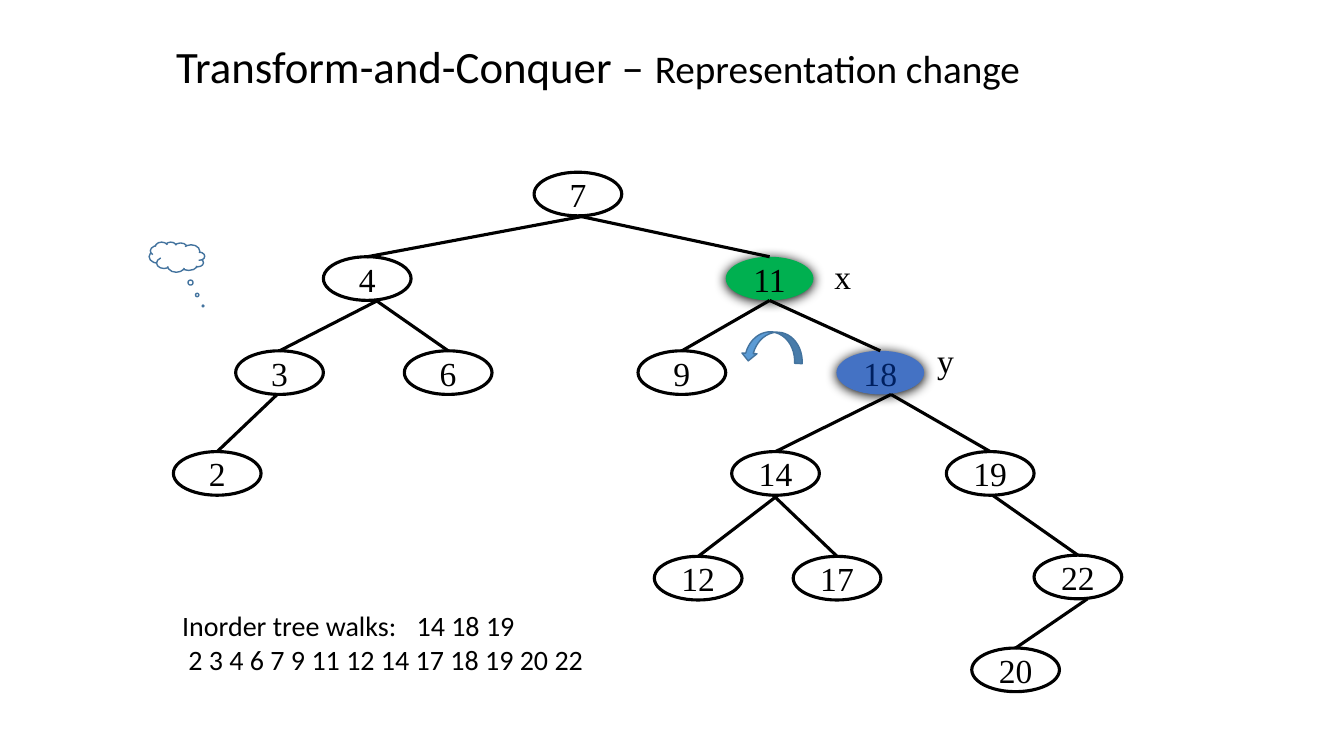
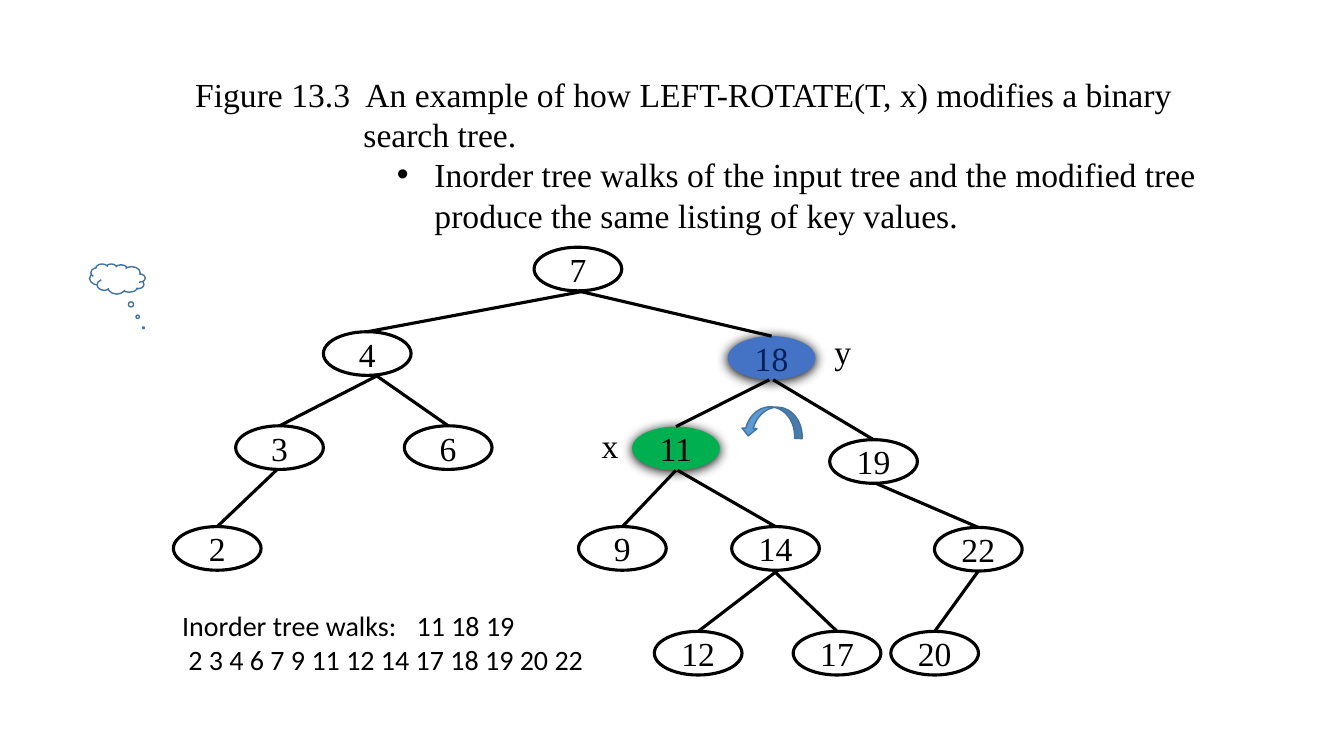
from dataclasses import dataclass

from lxml.etree import SubElement
from pptx import Presentation
from pptx.dml.color import RGBColor
from pptx.enum.shapes import MSO_CONNECTOR, MSO_SHAPE
from pptx.enum.text import MSO_ANCHOR, MSO_AUTO_SIZE, PP_ALIGN
from pptx.oxml.ns import qn
from pptx.util import Cm, Pt

BLACK = RGBColor(0x00, 0x00, 0x00)
WHITE = RGBColor(0xFF, 0xFF, 0xFF)
GREEN = RGBColor(0x00, 0xB0, 0x50)
BLUE = RGBColor(0x44, 0x72, 0xC4)
NAVY = RGBColor(0x00, 0x20, 0x60)
SKY = RGBColor(0x5B, 0x9B, 0xD5)
STEEL = RGBColor(0x43, 0x73, 0x9E)

SANS, SERIF = "Calibri", "Times New Roman"
NODE_WIDTH, NODE_HEIGHT = 2.21, 1.1
TREE_LEFT = 4.37
HIGHLIGHTS = {11: (GREEN, BLACK), 18: (BLUE, NAVY)}


@dataclass
class Node:
    """A tree node: offset of its corner, its parent, and where the edge leaves the parent."""
    left: float
    top: float
    parent: int = 0
    shift: float = 0


@dataclass
class Line:
    """A paragraph: its (text, size) spans and its indents in centimetres."""
    spans: list
    font: str = SERIF
    margin: float = 0
    indent: float = 0
    tab: float = 0
    bullet: str = ""


SHARED_NODES = {
    7: Node(9.09, 0),
    4: Node(3.78, 2.13, 7, 0.19),
    3: Node(1.57, 4.5, 4, 0.27),
    6: Node(5.82, 4.5, 4, 0.22),
    2: Node(0, 7.04, 3, -0.06),
    12: Node(12.12, 9.68, 14, 0.06),
    17: Node(15.62, 9.68, 14, -0.06),
}
TREE_BEFORE = SHARED_NODES | {
    11: Node(13.92, 2.13, 7),
    9: Node(11.71, 4.5, 11),
    18: Node(16.71, 4.5, 11),
    14: Node(14.07, 7.04, 18, 0.27),
    19: Node(19.48, 7.04, 18, 0.27),
    22: Node(21.69, 9.65, 19, 0.06),
    20: Node(20.12, 11.99, 22, 0.24),
}
TREE_AFTER = SHARED_NODES | {
    18: Node(13.97, 2.24, 7),
    11: Node(11.56, 4.52, 18, -0.06),
    19: Node(16.54, 4.85, 18, 0.04),
    9: Node(10.21, 7.04, 11),
    14: Node(14.07, 7.04, 11, 0.04),
    22: Node(19.18, 7.06, 19, 0.06),
    20: Node(18.08, 9.68, 22),
}


def add_span(para, text, size, font, color=BLACK):
    """Add one formatted run to a paragraph."""
    span = para.add_run()
    span.text = text
    span.font.size = Pt(size)
    span.font.name = font
    span.font.color.rgb = color


def format_line(para, line):
    """Apply indents, bullet and tab stop, then add the runs."""
    properties = para._p.get_or_add_pPr()
    if line.margin:
        properties.set("marL", str(Cm(line.margin)))
        properties.set("indent", str(Cm(line.indent)))
    if line.bullet:
        SubElement(properties, qn("a:buFont"), typeface="Arial")
        SubElement(properties, qn("a:buChar"), char=line.bullet)
    if line.tab:
        stops = SubElement(properties, qn("a:tabLst"))
        SubElement(stops, qn("a:tab"), pos=str(Cm(line.tab)), algn="l")
    for text, size in line.spans:
        add_span(para, text, size, line.font)


def add_text(page, left, top, width, height, lines, wrap=True):
    """Add a text box holding the given lines."""
    box = page.shapes.add_textbox(Cm(left), Cm(top), Cm(width), Cm(height))
    frame = box.text_frame
    frame.word_wrap = wrap
    frame.auto_size = MSO_AUTO_SIZE.SHAPE_TO_FIT_TEXT
    for index, line in enumerate(lines):
        para = frame.add_paragraph() if index else frame.paragraphs[0]
        format_line(para, line)


def add_outlined(page, kind, left, top, width, height, fill, line, weight):
    """Add a filled preset shape with an outline and no shadow."""
    shape = page.shapes.add_shape(kind, Cm(left), Cm(top), Cm(width), Cm(height))
    shape.shadow.inherit = False
    shape.fill.solid()
    shape.fill.fore_color.rgb = fill
    shape.line.color.rgb = line
    shape.line.width = Pt(weight)
    return shape


def add_glow(shape):
    """Replace the outline by a soft black shadow."""
    shape.line.fill.background()
    effects = shape._element.spPr.find(qn("a:effectLst"))
    shadow = SubElement(effects, qn("a:outerShdw"), blurRad=str(Pt(8.5)),
                        dist=str(Pt(1)), dir="5400000", algn="ctr", rotWithShape="0")
    SubElement(shadow, qn("a:srgbClr"), val=str(BLACK))


def add_node(page, key, left, top):
    """Draw one ellipse with its key."""
    fill, color = HIGHLIGHTS.get(key, (WHITE, BLACK))
    ellipse = add_outlined(page, MSO_SHAPE.OVAL, left, top, NODE_WIDTH, NODE_HEIGHT,
                           fill, BLACK, 2.25)
    if key in HIGHLIGHTS:
        add_glow(ellipse)
    frame = ellipse.text_frame
    frame.vertical_anchor = MSO_ANCHOR.MIDDLE
    para = frame.paragraphs[0]
    para.alignment = PP_ALIGN.CENTER
    para.space_after = Pt(8)
    add_span(para, str(key), 24, SERIF, color)


def add_edge(page, start, end):
    """Draw a black line between two points."""
    points = [Cm(value) for value in (*start, *end)]
    edge = page.shapes.add_connector(MSO_CONNECTOR.STRAIGHT, *points)
    edge.line.color.rgb = BLACK
    edge.line.width = Pt(2.25)
    SubElement(edge._element.spPr, qn("a:effectLst"))


def add_tree(page, left, top, nodes, labels):
    """Draw a tree, its letter labels and the rotation arrow from one corner."""
    for key, node in nodes.items():
        add_node(page, key, left + node.left, top + node.top)
    middle = left + NODE_WIDTH / 2
    for node in nodes.values():
        if node.parent:
            parent = nodes[node.parent]
            add_edge(page,
                     (middle + parent.left + node.shift, top + parent.top + NODE_HEIGHT),
                     (middle + node.left, top + node.top))
    for letter, across, down in labels:
        add_text(page, left + across, top + down, 1.25, 1.27, [Line([(letter, 24)])])
    arrow = add_outlined(page, MSO_SHAPE.CURVED_RIGHT_ARROW, left + 14.71, top + 3.63,
                         0.76, 1.55, SKY, STEEL, 1)
    arrow.rotation = 93


def add_cloud(page, left, top):
    """Draw the small mirrored thought cloud."""
    cloud = add_outlined(page, MSO_SHAPE.CLOUD_CALLOUT, left, top, 1.4, 0.76,
                         WHITE, STEEL, 1)
    cloud.adjustments[0] = -0.47
    cloud.adjustments[1] = 1.62
    cloud._element.spPr.xfrm.set("flipH", "1")


def add_walks(page, left, top, rotated_keys):
    """Write the inorder walks of the rotated part and of the whole tree."""
    add_text(page, left, top, 10.77, 1.96, [
        Line([(f"Inorder tree walks:\t{rotated_keys}", 20)], SANS, tab=5.91),
        Line([("2 3 4 6 7 9 11 12 14 17 18 19 20 22", 20)], SANS, margin=0.16),
    ])


def build_before(page):
    """Build the slide with the tree before the rotation."""
    add_tree(page, TREE_LEFT, 4.34, TREE_BEFORE, [("x", 16.41, 1.98), ("y", 19, 4.09)])
    add_cloud(page, 3.76, 6.1)
    title = Line([("Transform-and-Conquer – ", 32), ("Representation change", 28)], SANS)
    add_text(page, 4.19, 0.84, 22, 1.63, [title], wrap=False)
    add_walks(page, 4.34, 15.21, "14 18 19")


def build_after(page):
    """Build the slide with the tree after the rotation."""
    add_tree(page, TREE_LEFT, 6.23, TREE_AFTER, [("y", 16.41, 1.98), ("x", 10.54, 4.34)])
    add_text(page, 4.67, 1.73, 26.49, 4.37, [
        Line([("Figure 13.3\tAn example of how LEFT-ROTATE(T, x) modifies a binary", 24)],
             tab=4.29),
        Line([("search tree.", 24)], margin=4.24),
        Line([("Inorder tree walks of the input tree and the modified tree "
               "produce the same listing of key values.", 24)],
             margin=6.03, indent=-0.95, bullet="•"),
    ])
    add_cloud(page, 2.26, 6.65)
    add_walks(page, 4.34, 15.21, "11 18 19")


def main():
    """Build and save the deck."""
    deck = Presentation()
    deck.slide_width, deck.slide_height = Cm(33.87), Cm(19.05)
    for build in (build_before, build_after):
        build(deck.slides.add_slide(deck.slide_layouts[6]))
    deck.save("out.pptx")


if __name__ == "__main__":
    main()
